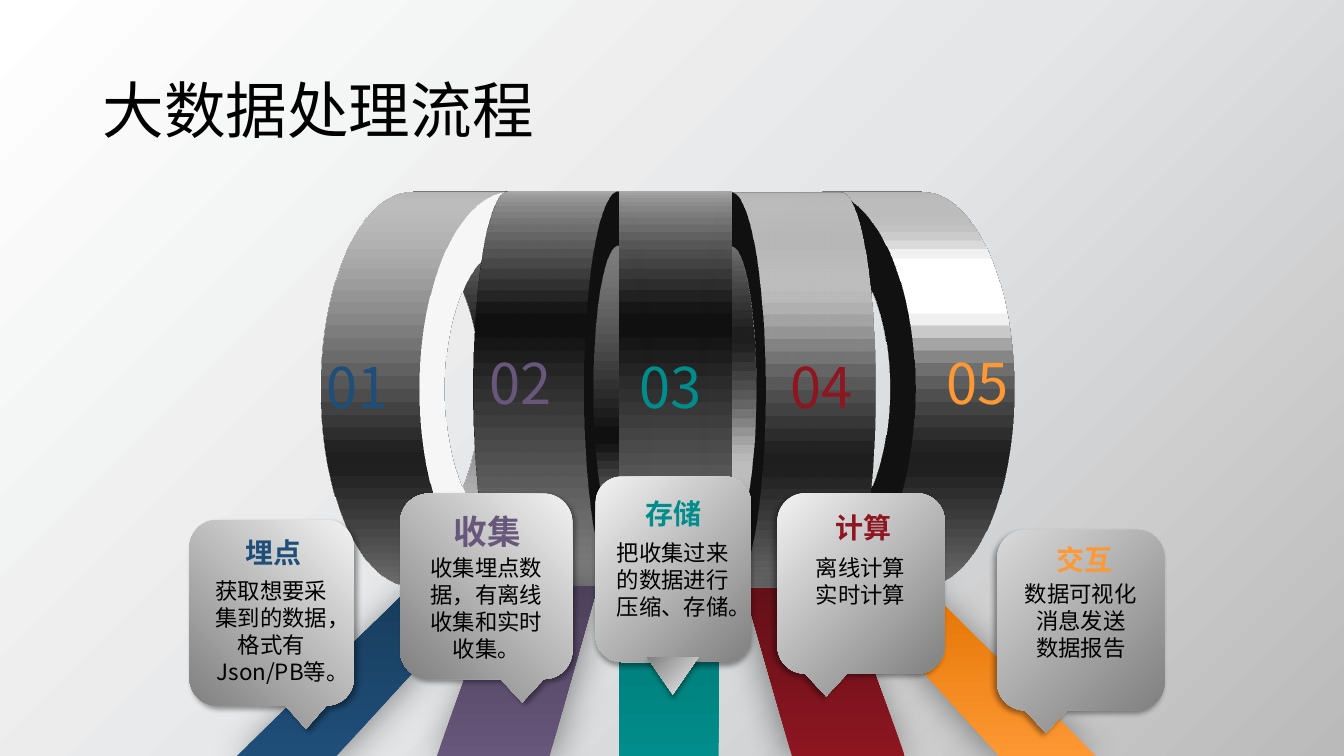
"""Build the slide on the five steps of big data processing."""
from lxml.etree import SubElement
from pptx import Presentation
from pptx.dml.color import RGBColor
from pptx.enum.shapes import MSO_SHAPE
from pptx.enum.text import MSO_ANCHOR, MSO_AUTO_SIZE, PP_ALIGN
from pptx.oxml.ns import qn
from pptx.util import Pt

FONT = "Noto Sans CJK SC"
TITLE = "大数据处理流程"
BACKDROP = [(0, "FFFFFF"), (51, "E5E6E7"), (100, "BABABA")]
SILVER = [(0, "F2F2F2"), (100, "808080")]
DULL = [(0, "D9D9D9"), (100, "808080")]

STEPS = [
    dict(number="01", at=(226.1, 248.4), color="1F4E79", dark="183C5C",
         top=(294.5, 351.4), bottom=(168.5, 239.8), start=418.3, shade=(25, 45),
         box=(135.4, 371.5, 117.4, 132.5), metal=SILVER, cast=45,
         name=" 埋点", size=20, name_at=(133.6, 378.7),
         lines=["获取想要采集到的数据，格式有Json/PB等。"], lines_at=(142.4, 409, 85)),
    dict(number="02", at=(342.4, 245.5), color="67577B", dark="4C405A",
         top=(355.7, 427), bottom=(311.8, 392.4), start=418.3, shade=(25, 45),
         box=(285.8, 352.6, 123.1, 132.5), metal=SILVER, cast=45,
         name=" 收集", size=24, name_at=(285.8, 361.4),
         lines=["收集埋点数据，有离线收集和实时收集。"], lines_at=(295.9, 392.4, 85)),
    dict(number="03", at=(450, 248.4), color="008D8B", dark="007673",
         top=(442.1, 513.4), bottom=(442.1, 513.4), start=418.3, shade=None,
         box=(425.5, 340.4, 110.9, 132.5), metal=SILVER, cast=90,
         name=" 存储", size=20, name_at=(419, 351.4),
         lines=["把收集过来的数据进行压缩、存储。"], lines_at=(429.1, 381.6, 65.5)),
    dict(number="04", at=(557.3, 248.4), color="8D1621", dark="641018",
         top=(531.4, 602.6), bottom=(565.9, 646.6), start=419.8, shade=(25, 180),
         box=(555.3, 352.3, 119.5, 128.9), metal=SILVER, cast=135,
         name=" 计算", size=20, name_at=(555.1, 361.4),
         lines=["离线计算", "实时计算"], lines_at=(563.3, 392.4, 46)),
    dict(number="05", at=(668.9, 245.5), color="FD9833", dark="E47302",
         top=(604.1, 660.2), bottom=(714.2, 783.4), start=418.3, shade=(25, 180),
         box=(712.3, 378.5, 119.5, 128.9), metal=DULL, cast=135,
         name=" 交互", size=20, name_at=(712.8, 383.8),
         lines=["数据可视化", "消息发送", "数据报告"], lines_at=(720.5, 411.1, 65.5)),
]

RING_SIZE, RING_DEPTH = 282.2, 80
RINGS = [(224.6, 136.8, 298), (517, 136.8, 242), (221.8, 136.8, 100),
         (460.1, 137.5, 260), (301.7, 136.8, 90)]


def color(code):
    return RGBColor.from_string(code)


def paint_gradient(fill, holder, stops, angle):
    fill.solid()
    solid = holder.find(qn("a:solidFill"))
    gradient = holder.makeelement(qn("a:gradFill"), {"rotWithShape": "1"})
    listing = SubElement(gradient, qn("a:gsLst"))
    for place, code in stops:
        stop = SubElement(listing, qn("a:gs"), pos=str(place * 1000))
        SubElement(stop, qn("a:srgbClr"), val=code)
    SubElement(gradient, qn("a:lin"), ang=str(angle * 60000), scaled="0")
    holder.replace(solid, gradient)


def finish(shape, paint, angle=90, shade=None):
    properties = shape._element.spPr
    if isinstance(paint, str):
        shape.fill.solid()
        shape.fill.fore_color.rgb = color(paint)
    else:
        paint_gradient(shape.fill, properties, paint, angle)
    shape.line.fill.background()
    shape.shadow.inherit = False
    if shade:
        blur, direction = shade
        cast = SubElement(properties.find(qn("a:effectLst")), qn("a:outerShdw"),
                          blurRad=str(Pt(blur)), dist=str(Pt(3)), dir=str(direction * 60000))
        tone = SubElement(cast, qn("a:srgbClr"), val="000000")
        SubElement(tone, qn("a:alpha"), val="40000")


def add_preset(page, kind, frame, *look):
    shape = page.shapes.add_shape(kind, *map(Pt, frame))
    finish(shape, *look)
    return shape


def add_outline(page, points, *look):
    corners = [(Pt(x), Pt(y)) for x, y in points]
    builder = page.shapes.build_freeform(*corners[0])
    builder.add_line_segments(corners[1:])
    finish(builder.convert_to_shape(), *look)


def add_text(page, frame, lines, size, code, align=PP_ALIGN.LEFT, bold=False):
    box = page.shapes.add_textbox(*map(Pt, frame))
    for key, value in dict(word_wrap=True, auto_size=MSO_AUTO_SIZE.SHAPE_TO_FIT_TEXT).items():
        setattr(box.text_frame, key, value)
    for index, line in enumerate(lines):
        para = box.text_frame.add_paragraph() if index else box.text_frame.paragraphs[0]
        para.alignment = align
        span = para.add_run()
        span.text = line
        for key, value in dict(name=FONT, size=Pt(size), bold=bold).items():
            setattr(span.font, key, value)
        span.font.color.rgb = color(code)
        SubElement(span.font._element, qn("a:ea"), typeface=FONT)
    return box.text_frame


def add_ring(page, left, top, turn):
    ring = add_preset(page, MSO_SHAPE.DONUT, (left, top, RING_SIZE, RING_SIZE), "F2F2F2")
    ring.adjustments[0] = 0.137
    properties = ring._element.spPr
    scene = SubElement(properties, qn("a:scene3d"))
    camera = SubElement(scene, qn("a:camera"), prst="orthographicFront")
    SubElement(camera, qn("a:rot"), lat="0", lon=str(turn * 60000), rev="0")
    SubElement(scene, qn("a:lightRig"), rig="threePt", dir="t")
    SubElement(properties, qn("a:sp3d"), extrusionH=str(Pt(RING_DEPTH)), prstMaterial="metal")


def add_stripe(page, step):
    (left, right), (low_left, low_right), start = step["top"], step["bottom"], step["start"]
    look = [(0, step["color"]), (100, step["dark"])], 270, step["shade"]
    if step["top"] == step["bottom"]:
        add_preset(page, MSO_SHAPE.RECTANGLE, (left, start, right - left, 540.7 - start), *look)
    else:
        add_outline(page, [(left, start), (right, start), (low_right, 540.7), (low_left, 540.7)],
                    *look)


def add_callout(page, step):
    look = step["metal"], 45, (4, step["cast"])
    if step["cast"] == 90:
        add_preset(page, MSO_SHAPE.ROUNDED_RECTANGLE, step["box"], *look)
        add_preset(page, MSO_SHAPE.ISOSCELES_TRIANGLE, (462.2, 469.4, 36.7, 26.6),
                   *look).rotation = 180
        return
    callout = add_preset(page, MSO_SHAPE.ROUNDED_RECTANGULAR_CALLOUT, step["box"], *look)
    if step["cast"] == 45:
        callout._element.spPr.find(qn("a:xfrm")).set("flipH", "1")


def main():
    deck = Presentation()
    deck.slide_width, deck.slide_height = Pt(960), Pt(540)
    page = deck.slides.add_slide(deck.slide_layouts[6])
    backdrop = page.background.fill
    backdrop.solid()
    paint_gradient(backdrop, page._element.cSld.bg.bgPr, BACKDROP, 45)

    for ring in RINGS:
        add_ring(page, *ring)
    for step in STEPS:
        add_text(page, (*step["at"], 68.4, 57.6), [step["number"]], 40, step["color"])
    for step in STEPS:
        add_stripe(page, step)
    for step in STEPS:
        add_callout(page, step)
        add_text(page, (*step["name_at"], 119.5, 31.7), [step["name"]], step["size"],
                 step["color"], PP_ALIGN.CENTER, True)
        left, top, height = step["lines_at"]
        add_text(page, (left, top, 103, height), step["lines"], 16, "000000", PP_ALIGN.CENTER)

    title = add_text(page, (66.2, 28.8, 828, 104.4), [TITLE], 44, "000000")
    title.auto_size = MSO_AUTO_SIZE.NONE
    title.vertical_anchor = MSO_ANCHOR.MIDDLE
    title.paragraphs[0].line_spacing = 0.9
    deck.save("out.pptx")


if __name__ == "__main__":
    main()
